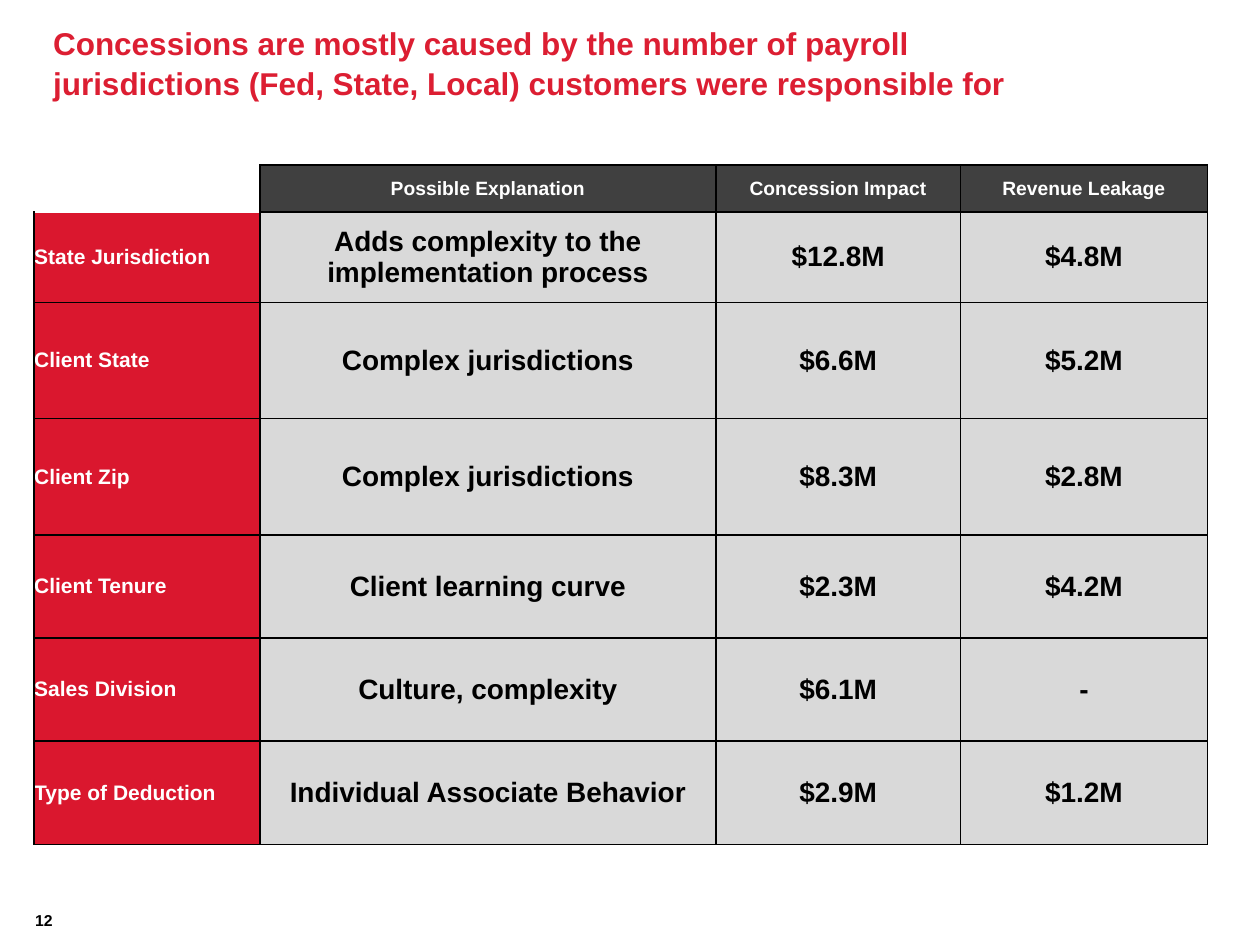
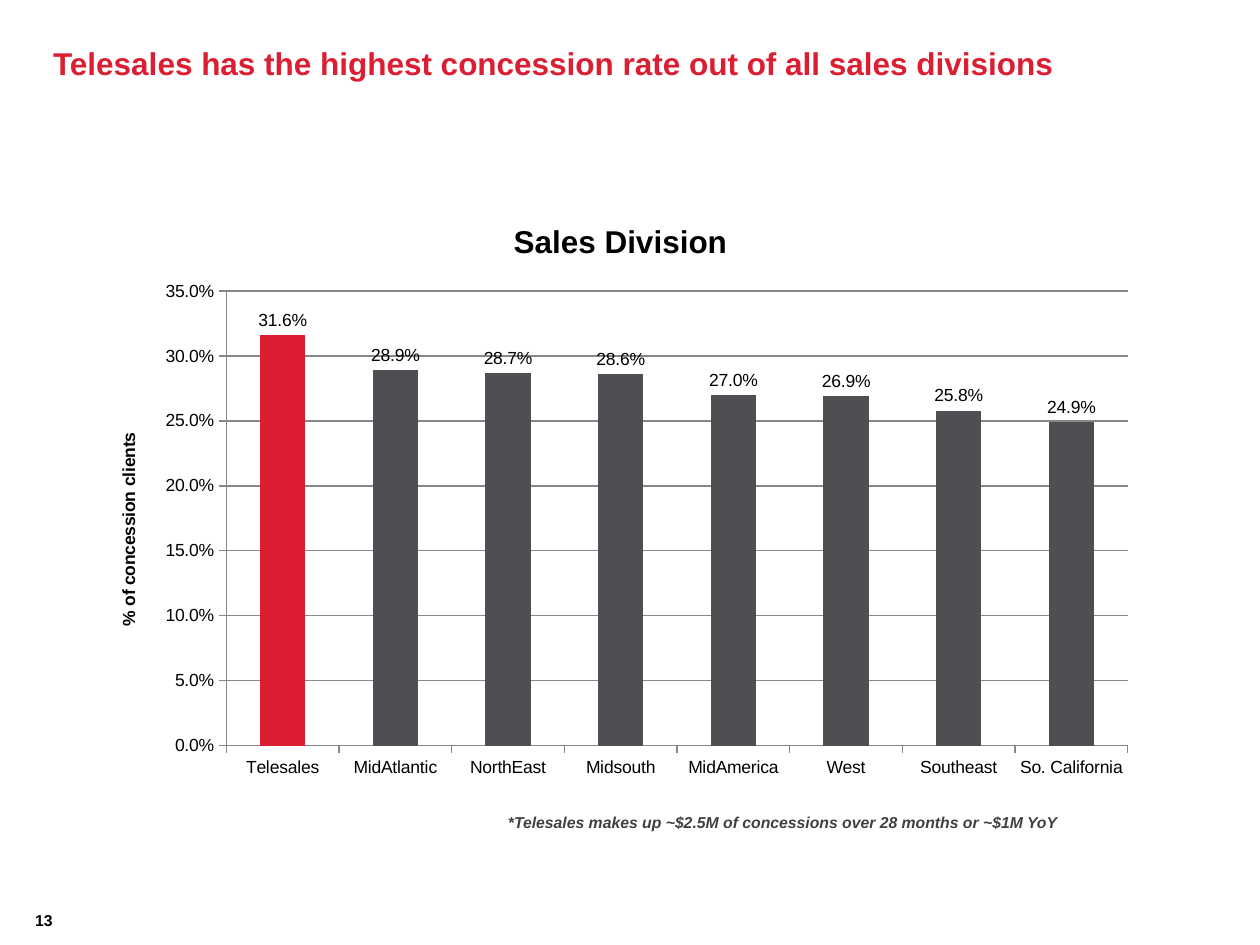
from lxml import etree
from pptx import Presentation
from pptx import util as u
from pptx.chart import data as chart_data
from pptx.dml import color
from pptx.enum import chart as chart_enum, text
from pptx.oxml import ns

COLOURS = {
    "title": "DC1E32",
    "label": "DA172E",
    "header": "404040",
    "body": "D9D9D9",
    "bar": "4D4F53",
    "grid": "878787",
    "black": "000000",
    "white": "FFFFFF",
}
FONT = "Arial"

EXPLANATIONS = [
    ("", "Possible Explanation", "Concession Impact", "Revenue Leakage"),
    ("State Jurisdiction", "Adds complexity to the implementation process", "$12.8M", "$4.8M"),
    ("Client State", "Complex jurisdictions", "$6.6M", "$5.2M"),
    ("Client Zip", "Complex jurisdictions", "$8.3M", "$2.8M"),
    ("Client Tenure", "Client learning curve", "$2.3M", "$4.2M"),
    ("Sales Division", "Culture, complexity", "$6.1M", "-"),
    ("Type of Deduction", "Individual Associate Behavior", "$2.9M", "$1.2M"),
]
COLUMN_WIDTHS = [4.55, 9.19, 4.93, 4.98]
ROW_HEIGHTS = [0.94, 1.83, 2.34, 2.34, 2.08, 2.08, 2.08]

CONCESSION_RATES = {
    "Telesales": 0.316,
    "MidAtlantic": 0.289,
    "NorthEast": 0.287,
    "Midsouth": 0.286,
    "MidAmerica": 0.27,
    "West": 0.269,
    "Southeast": 0.258,
    "So. California": 0.249,
}


def rgb(name):
    return color.RGBColor.from_string(COLOURS[name])


class SlideBuilder:
    def __init__(self, deck):
        self.deck = deck
        self.slide = None

    def start(self, title, number):
        self.slide = self.deck.slides.add_slide(self.deck.slide_layouts[5])
        box = self.slide.shapes.title
        self.place(box, 1.07, 0, 20.68, 2.51)
        para = self.fill_frame(box.text_frame, title, 18, "title", text.MSO_ANCHOR.MIDDLE)
        para.line_spacing = 1.05
        page = self.text_box(0.25, 17.73, 0.81, 1.02, str(number), 9, "black",
                             text.MSO_ANCHOR.BOTTOM)
        page.alignment = text.PP_ALIGN.RIGHT

    def place(self, shape, left, top, width, height):
        shape.left, shape.top = u.Cm(left), u.Cm(top)
        shape.width, shape.height = u.Cm(width), u.Cm(height)

    def style_font(self, font, size, colour="black", bold=True, italic=False):
        font.name, font.size = FONT, u.Pt(size)
        font.bold, font.italic = bold, italic
        font.color.rgb = rgb(colour)

    def add_span(self, para, words, size, colour="black", italic=False):
        span = para.add_run()
        span.text = words
        self.style_font(span.font, size, colour, italic=italic)

    def fill_frame(self, frame, words, size, colour, anchor, italic=False):
        frame.word_wrap = True
        frame.auto_size = text.MSO_AUTO_SIZE.NONE
        frame.vertical_anchor = anchor
        frame.margin_left = frame.margin_right = frame.margin_top = frame.margin_bottom = 0
        para = frame.paragraphs[0]
        para.alignment = text.PP_ALIGN.LEFT
        self.add_span(para, words, size, colour, italic)
        return para

    def text_box(self, left, top, width, height, words, size, colour,
                 anchor=text.MSO_ANCHOR.TOP, italic=False):
        box = self.slide.shapes.add_textbox(u.Cm(left), u.Cm(top), u.Cm(width), u.Cm(height))
        return self.fill_frame(box.text_frame, words, size, colour, anchor, italic)

    def border(self, cell, sides):
        properties = cell._tc.get_or_add_tcPr()
        for side in sides:
            line = etree.SubElement(properties, ns.qn(f"a:ln{side}"), w=str(u.Pt(1)))
            fill = etree.SubElement(line, ns.qn("a:solidFill"))
            etree.SubElement(fill, ns.qn("a:srgbClr"), val=COLOURS["black"])

    def fill_cell(self, cell, words, row, column):
        if row == 0:
            size, colour, background = 11, "white", "header"
        elif column == 0:
            size, colour, background = 12, "white", "label"
        else:
            size, colour, background = 16, "black", "body"
        self.border(cell, {(0, 0): "R", (1, 0): "LRB"}.get((row, column), "LRTB"))
        cell.margin_left = cell.margin_right = cell.margin_top = cell.margin_bottom = 0
        cell.vertical_anchor = text.MSO_ANCHOR.MIDDLE
        if not words:
            cell.fill.background()
            return
        cell.fill.solid()
        cell.fill.fore_color.rgb = rgb(background)
        para = cell.text_frame.paragraphs[0]
        para.alignment = text.PP_ALIGN.CENTER if column else text.PP_ALIGN.LEFT
        self.add_span(para, words, size, colour)

    def table(self, left, top, rows, widths, heights):
        frame = self.slide.shapes.add_table(len(rows), len(widths), u.Cm(left), u.Cm(top),
                                            u.Cm(sum(widths)), u.Cm(sum(heights)))
        table = frame.table
        table.first_row = table.horz_banding = False
        for column, width in zip(table.columns, widths):
            column.width = u.Cm(width)
        for row, height in zip(table.rows, heights):
            row.height = u.Cm(height)
        for row, entries in enumerate(rows):
            for column, words in enumerate(entries):
                self.fill_cell(table.cell(row, column), words, row, column)

    def column_chart(self, left, top, width, height, title, axis_title, rates, highlight):
        data = chart_data.CategoryChartData(number_format="0.0%")
        data.categories = list(rates)
        data.add_series("Series 1", list(rates.values()))
        chart = self.slide.shapes.add_chart(
            chart_enum.XL_CHART_TYPE.COLUMN_CLUSTERED,
            u.Cm(left), u.Cm(top), u.Cm(width), u.Cm(height), data).chart
        self.style_font(chart.font, 10, bold=False)
        chart.has_legend = False
        chart.has_title = True
        self.add_span(chart.chart_title.text_frame.paragraphs[0], title, 18)

        value_axis = chart.value_axis
        value_axis.minimum_scale, value_axis.maximum_scale = 0, 0.35
        value_axis.major_unit = 0.05
        value_axis.tick_labels.number_format = "0.0%"
        value_axis.tick_labels.number_format_is_linked = False
        value_axis.has_title = True
        self.add_span(value_axis.axis_title.text_frame.paragraphs[0], axis_title, 10)
        for axis in (value_axis, chart.category_axis):
            axis.major_tick_mark = chart_enum.XL_TICK_MARK.OUTSIDE
            axis.format.line.color.rgb = rgb("grid")
        value_axis.major_gridlines.format.line.color.rgb = rgb("grid")

        plot = chart.plots[0]
        plot.gap_width = 150
        plot.vary_by_categories = False
        plot.has_data_labels = True
        labels = plot.data_labels
        labels.show_value = True
        labels.number_format = "0.0%"
        labels.number_format_is_linked = False
        labels.position = chart_enum.XL_LABEL_POSITION.OUTSIDE_END
        series = plot.series[0]
        point = series.points[list(rates).index(highlight)]
        for bars, colour in ((series, "bar"), (point, "title")):
            bars.format.fill.solid()
            bars.format.fill.fore_color.rgb = rgb(colour)


def main():
    deck = Presentation()
    deck.slide_width, deck.slide_height = u.Cm(25.4), u.Cm(19.05)
    builder = SlideBuilder(deck)

    builder.start("Concessions are mostly caused by the number of payroll jurisdictions "
                  "(Fed, State, Local) customers were responsible for", 12)
    builder.table(0.69, 3.33, EXPLANATIONS, COLUMN_WIDTHS, ROW_HEIGHTS)

    builder.start("Telesales has the highest concession rate out of all sales divisions", 13)
    builder.column_chart(1.85, 3.96, 21.31, 11.96, "Sales Division",
                         "% of concession clients", CONCESSION_RATES, "Telesales")
    builder.text_box(10.24, 16.38, 12.7, 0.38,
                     "*Telesales makes up ~$2.5M of concessions over 28 months or ~$1M YoY",
                     9, "header", italic=True)

    deck.save("out.pptx")


if __name__ == "__main__":
    main()
